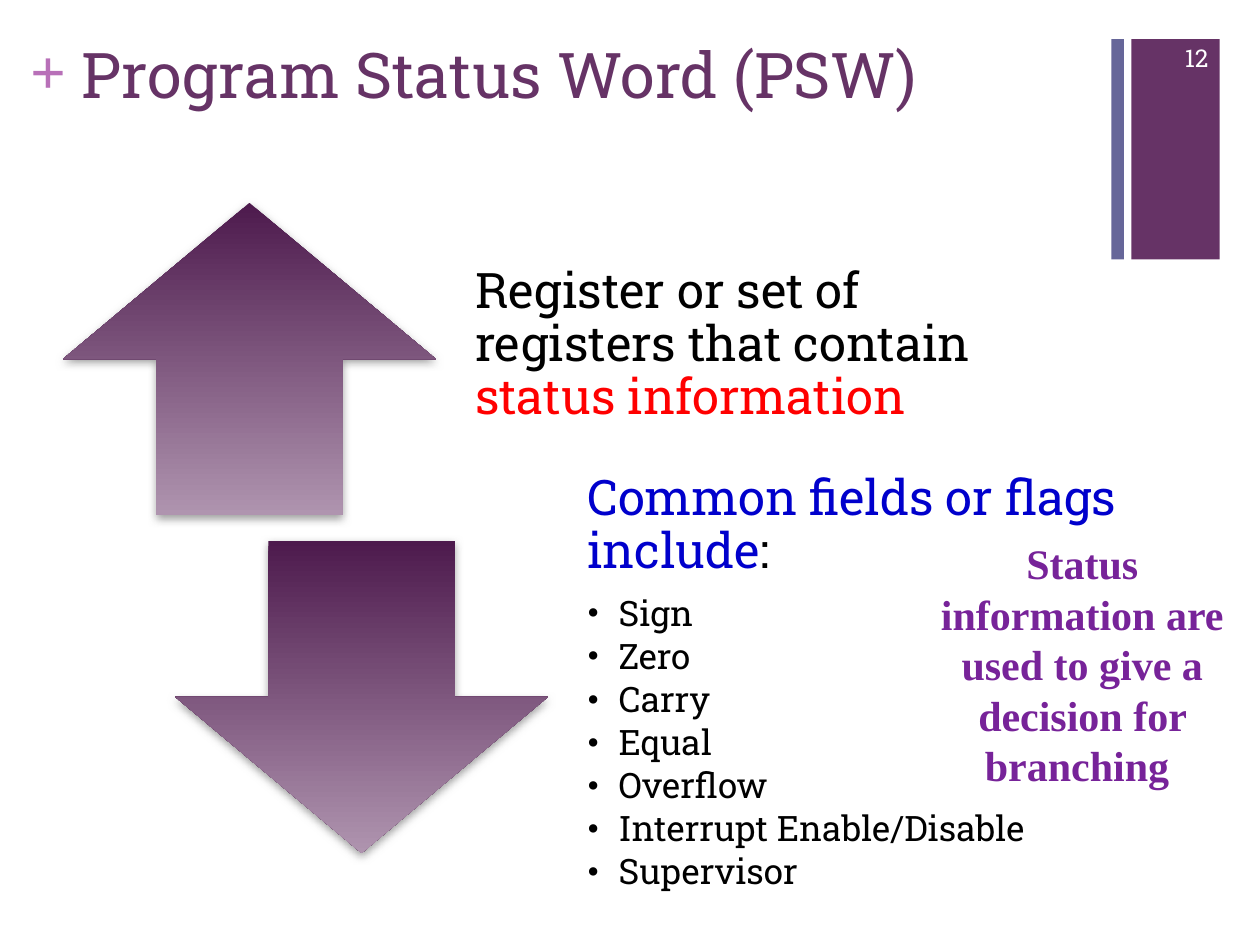
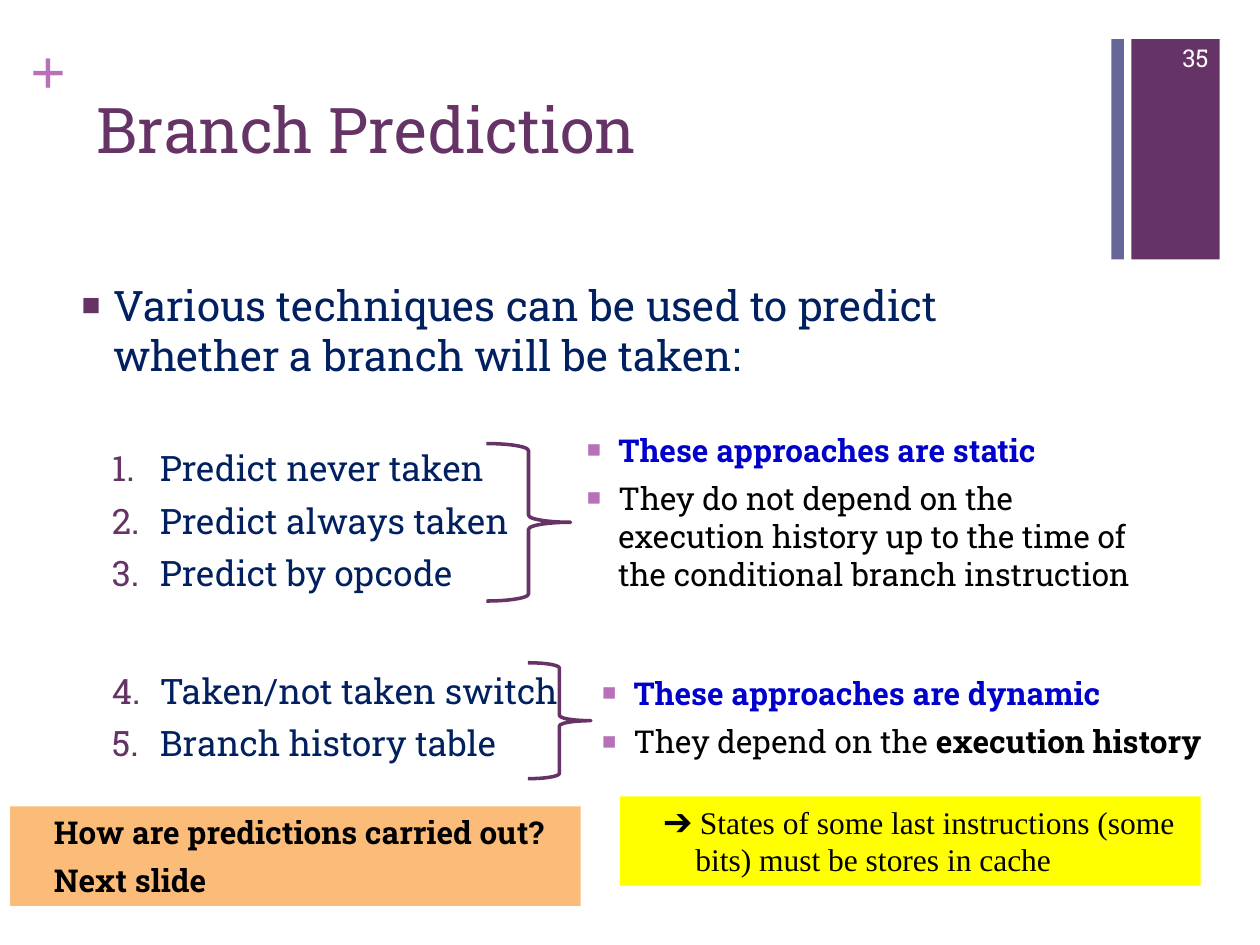
from dataclasses import dataclass

from lxml import etree
from pptx import Presentation
from pptx.dml.color import RGBColor as Color
from pptx.enum.shapes import MSO_SHAPE as Shape
from pptx.enum.text import MSO_ANCHOR as Anchor, PP_ALIGN as Align
from pptx.oxml.ns import qn
from pptx.util import Inches, Pt


@dataclass(frozen=True)
class Theme:
    plum: str = "663366"
    slate: str = "666699"
    orchid: str = "B870B8"
    violet: str = "772399"
    navy: str = "002060"
    blue: str = "0000CC"
    red: str = "FF0000"
    black: str = "000000"
    white: str = "FFFFFF"
    yellow: str = "FFFF00"
    orange: str = "FABC78"
    arrow_dark: str = "4D1A4D"
    arrow_light: str = "AF94AF"
    shadow: str = "808080"
    slab: str = "Roboto Slab"
    serif: str = "Times New Roman"
    title: int = 36
    lead: int = 28
    body: int = 24
    item: int = 20
    note: int = 18
    number: int = 14


theme = Theme()


def add_shape(page, kind, at, fill=None):
    shape = page.shapes.add_shape(kind, *map(Inches, at))
    shape.shadow.inherit = False
    shape.line.fill.background()
    if fill:
        shape.fill.solid()
        shape.fill.fore_color.rgb = Color.from_string(fill)
    else:
        shape.fill.background()
    return shape


def write(box, paragraphs, anchor=Anchor.TOP, insets=(0.1, 0.05, 0.1, 0.05)):
    """Each paragraph is a dict; its text is a string or a list of (text, changes)."""
    frame = box.text_frame
    frame.word_wrap = True
    frame.vertical_anchor = anchor
    (frame.margin_left, frame.margin_top,
     frame.margin_right, frame.margin_bottom) = map(Inches, insets)
    for index, style in enumerate(paragraphs):
        para = frame.paragraphs[0] if index == 0 else frame.add_paragraph()
        para.alignment = style.get("align", Align.LEFT)
        para.line_spacing = style.get("spacing", 1.0)
        para.space_before = Pt(style.get("before", 0))
        para.space_after = Pt(style.get("after", 0))
        properties = para._p.get_or_add_pPr()
        if "indent" in style:
            left, first = style["indent"]
            properties.set("marL", str(Inches(left)))
            properties.set("indent", str(Inches(first)))
        if "bullet" in style:
            mark, color, percent = style["bullet"]
            holder = etree.SubElement(properties, qn("a:buClr"))
            etree.SubElement(holder, qn("a:srgbClr"), val=color)
            etree.SubElement(properties, qn("a:buSzPct"), val=str(percent * 1000))
            if mark == "1.":
                etree.SubElement(properties, qn("a:buAutoNum"), type="arabicPeriod")
            else:
                etree.SubElement(properties, qn("a:buFont"), typeface=theme.serif)
                etree.SubElement(properties, qn("a:buChar"), char=mark)
        para.font.name = style.get("font", theme.slab)
        para.font.size = Pt(style["size"])
        para.font.bold = style.get("bold", False)
        text = style["text"]
        spans = [(text, {})] if isinstance(text, str) else text
        if len(spans) == 1:
            para.font.color.rgb = Color.from_string(style.get("color", theme.black))
        for words, changes in spans:
            span = para.add_run()
            span.text = words
            if len(spans) > 1:
                color = changes.get("color", theme.black)
                span.font.color.rgb = Color.from_string(color)
            if "bold" in changes:
                span.font.bold = changes["bold"]


deck = Presentation()
deck.slide_width, deck.slide_height = Inches(10), Inches(7.5)

# Shared frame: side bands, plus sign, title and page number
pages = []
for title, title_at, number in [
    ("Program Status Word (PSW)", (0.55, 0.23, 8.26, 0.74), "12"),
    ("Branch Prediction", (0.67, 0.67, 8.26, 1.22), "35"),
]:
    page = deck.slides.add_slide(deck.slide_layouts[6])
    add_shape(page, Shape.RECTANGLE, (8.98, 0.31, 0.7, 1.75), theme.plum)
    add_shape(page, Shape.RECTANGLE, (8.82, 0.31, 0.1, 1.75), theme.slate)
    plus = page.shapes.add_textbox(*map(Inches, (0.24, 0.25, 0.29, 0.61)))
    write(plus, [dict(text="+", size=theme.title, font=theme.serif,
                      color=theme.orchid, bold=True)], insets=(0, 0, 0, 0))
    heading = page.shapes.add_textbox(*map(Inches, title_at))
    write(heading, [dict(text=title, size=theme.title, color=theme.plum)])
    page_number = page.shapes.add_textbox(*map(Inches, (9.08, 0.26, 0.61, 0.4)))
    write(page_number, [dict(text=number, size=theme.number, color=theme.white,
                             align=Align.RIGHT)], Anchor.MIDDLE)
    pages.append(page)
status_page, branch_page = pages

# Status word: gradient arrows with a soft shadow
for kind, left, top in [(Shape.UP_ARROW, 0.5, 1.61), (Shape.DOWN_ARROW, 1.39, 4.29)]:
    arrow = add_shape(status_page, kind, (left, top, 2.96, 2.48))
    arrow.fill.gradient()
    arrow.fill.gradient_angle = 270
    for stop, color in zip(arrow.fill.gradient_stops,
                           (theme.arrow_dark, theme.arrow_light)):
        stop.color.rgb = Color.from_string(color)
    effects = arrow._element.spPr.find(qn("a:effectLst"))
    shadow = etree.SubElement(effects, qn("a:outerShdw"), blurRad=str(Pt(5)),
                              dist=str(Pt(2)), dir="5400000", rotWithShape="0")
    tint = etree.SubElement(shadow, qn("a:srgbClr"), val=theme.shadow)
    etree.SubElement(tint, qn("a:alpha"), val="75000")

# Status word: texts beside the arrows
lead = dict(size=theme.lead, spacing=0.9, after=9.8)
flag = dict(size=theme.item, spacing=0.9, after=3, indent=(0.25, -0.25),
            bullet=("•", theme.black, 100))
flags = ["Sign", "Zero", "Carry", "Equal", "Overflow",
         "Interrupt Enable/Disable", "Supervisor"]
definition = [dict(lead, text=[("Register or set of registers that contain ", {}),
                               ("status information", dict(color=theme.red))])]
fields = [dict(lead, text=[("Common fields or flags include", dict(color=theme.blue)),
                           (":", {})])]
fields += [dict(flag, text=name) for name in flags]
for at, paragraphs in [((3.55, 1.61, 5.01, 2.48), definition),
                       ((4.44, 3.67, 5.01, 3.72), fields)]:
    box = status_page.shapes.add_textbox(*map(Inches, at))
    write(box, paragraphs, Anchor.MIDDLE, (0.22, 0, 0.22, 0.22))

remark = status_page.shapes.add_textbox(*map(Inches, (7.34, 4.22, 2.5, 2.12)))
write(remark, [dict(
    text="Status information are used to give a decision for branching ",
    size=theme.body, font=theme.serif, color=theme.violet, bold=True,
    align=Align.CENTER)])

# Branch prediction: numbered techniques, with wider gaps before each group
techniques = [dict(
    text="Various techniques can be used to predict whether a branch will be taken:",
    size=theme.body, color=theme.navy, indent=(0.25, -0.25),
    bullet=("■", theme.plum, 75))]
for name, gap in [("Predict never taken", 38), ("Predict always taken", 6),
                  ("Predict by opcode", 6), ("Taken/not taken switch", 43),
                  ("Branch history table", 6)]:
    techniques.append(dict(text=name, size=theme.item, color=theme.navy, before=gap,
                           indent=(0.62, -0.38), bullet=("1.", theme.plum, 100)))
body = branch_page.shapes.add_textbox(*map(Inches, (0.55, 2.17, 8.26, 4.53)))
write(body, techniques)

# Branch prediction: braces around the two groups
for at in [(3.86, 3.52, 0.67, 1.25), (4.19, 5.26, 0.5, 0.92)]:
    brace = add_shape(branch_page, Shape.RIGHT_BRACE, at)
    brace.line.color.rgb = Color.from_string(theme.plum)
    brace.line.width = Pt(2)

# Branch prediction: notes on each group
note = dict(size=theme.note, before=6, indent=(0.5, -0.25))
point = dict(note, bullet=("■", theme.orchid, 75))
for at, claim, reason in [
    ((4.31, 3.37, 4.91, 1.4), "These approaches are static",
     "They do not depend on the execution history up to the time of "
     "the conditional branch instruction"),
    ((4.43, 5.3, 5.26, 0.79), "These approaches are dynamic",
     [("They depend on the ", {}), ("execution history", dict(bold=True))]),
]:
    box = branch_page.shapes.add_textbox(*map(Inches, at))
    write(box, [dict(point, text=claim, color=theme.blue, bold=True),
                dict(point, text=reason)])

# Branch prediction: highlighted boxes
cache_box = add_shape(branch_page, Shape.RECTANGLE, (4.92, 6.32, 4.61, 0.71), theme.yellow)
write(cache_box, [dict(
    note, font=theme.serif,
    text="➔ States of some last instructions (some bits) must be stores in cache")])
question_box = add_shape(branch_page, Shape.RECTANGLE, (0.08, 6.4, 4.53, 0.79), theme.orange)
write(question_box, [dict(note, text=line, bold=True)
                     for line in ("How are predictions carried out?", "Next slide")])

deck.save("out.pptx")
